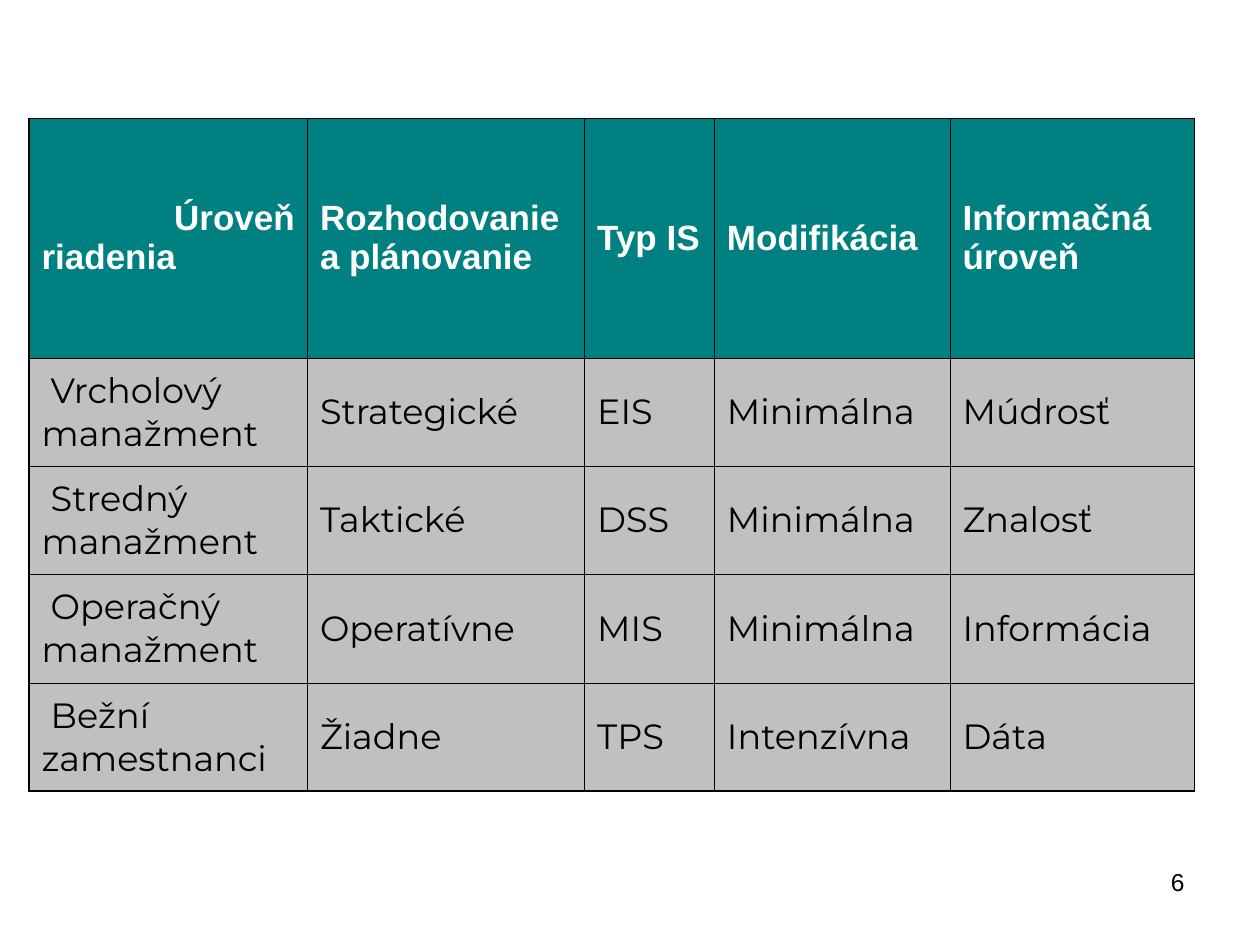
from lxml.etree import SubElement
from pptx import Presentation
from pptx.dml.color import RGBColor
from pptx.enum.text import MSO_ANCHOR, PP_ALIGN
from pptx.oxml.ns import qn
from pptx.util import Inches, Pt

COLS = [2.21, 2.2, 1.03, 1.87, 1.94]
ROWS = [1.9] + [0.86] * 4
DATA = [
    [" Úroveň riadenia", "Rozhodovanie a\u00a0plánovanie", "Typ IS",
     "Modifikácia", "Informačná\núroveň"],
    [" Vrcholový manažment", "Strategické", "EIS", "Minimálna", "Múdrosť"],
    [" Stredný manažment", "Taktické", "DSS", "Minimálna", "Znalosť"],
    [" Operačný manažment", "Operatívne", "MIS", "Minimálna", "Informácia"],
    [" Bežní zamestnanci", "Žiadne", "TPS", "Intenzívna", "Dáta"],
]
THIN, THICK = 0.34, 0.96


def paint(fill, color):
    fill.solid()
    fill.fore_color.rgb = RGBColor.from_string(color)


def style(frame, font, size, color, bold=False, align=PP_ALIGN.LEFT):
    for para in frame.paragraphs:
        para.alignment = align
        for run in para.runs:
            run.font.name, run.font.size, run.font.bold = font, Pt(size), bold
            paint(run.font.fill, color)


def edge(cell, side, width):
    line = SubElement(cell._tc.get_or_add_tcPr(), qn(f"a:ln{side}"),
                      w=str(int(Pt(width))))
    fill = SubElement(line, qn("a:solidFill"))
    SubElement(fill, qn("a:srgbClr"), val="000000")


def add_grid(slide, left, top):
    frame = slide.shapes.add_table(
        len(ROWS), len(COLS), Inches(left), Inches(top),
        Inches(sum(COLS)), Inches(sum(ROWS)))
    grid = frame.table
    for col, width in zip(grid.columns, COLS):
        col.width = Inches(width)
    for row, height in zip(grid.rows, ROWS):
        row.height = Inches(height)

    for r, words in enumerate(DATA):
        for c, text in enumerate(words):
            cell = grid.cell(r, c)
            cell.text_frame.text = text
            cell.vertical_anchor = MSO_ANCHOR.MIDDLE
            # Thick outer frame, thin inner rules
            outer = {"L": c == 0, "R": c == len(COLS) - 1,
                     "T": r == 0, "B": r == len(ROWS) - 1}
            for side, thick in outer.items():
                edge(cell, side, THICK if thick else THIN)
            # Header row and body rows
            if r == 0:
                paint(cell.fill, "008080")
                style(cell.text_frame, "Arial", 20, "FFFFFF", True,
                      PP_ALIGN.JUSTIFY)
            else:
                paint(cell.fill, "C0C0C0")
                style(cell.text_frame, "Montserrat", 20, "000000")


def add_number(slide, text, left, top, width, height):
    box = slide.shapes.add_textbox(
        Inches(left), Inches(top), Inches(width), Inches(height))
    box.text_frame.word_wrap = True
    box.text_frame.text = text
    style(box.text_frame, "Arial", 14, "000000", align=PP_ALIGN.RIGHT)


deck = Presentation()
deck.slide_width, deck.slide_height = Inches(10), Inches(7.5)
page = deck.slides.add_slide(deck.slide_layouts[6])
paint(page.background.fill, "FFFFFF")

# Page number and table of management levels
add_number(page, "6", 7.17, 6.83, 2.33, 0.52)
add_grid(page, 0.23, 0.94)

deck.save("out.pptx")
